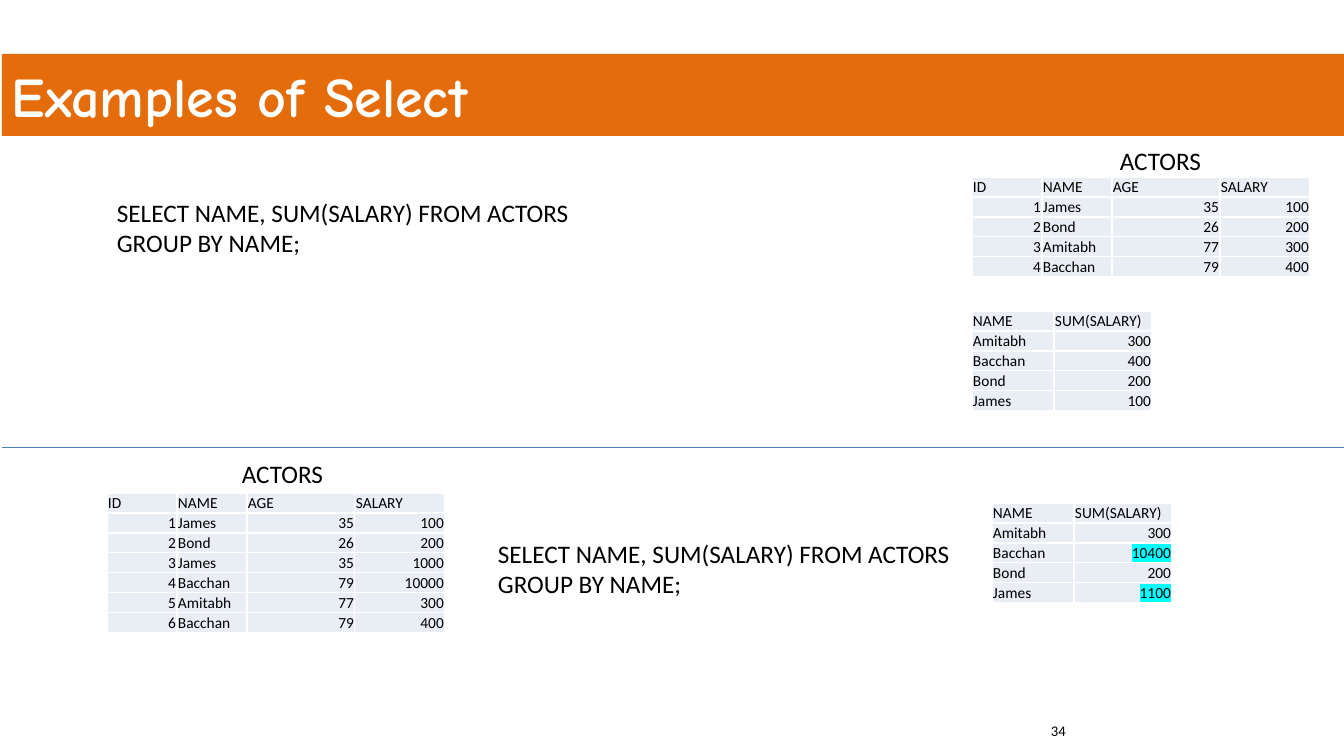
import dataclasses

import lxml.etree
import pptx
import pptx.dml.color
import pptx.enum.shapes
import pptx.enum.text
import pptx.oxml.ns
import pptx.util

EMU_PER_PX = 914400 / 100.8
ROW_HEIGHT = 20
ACTORS_COLUMNS = (70, 70, 108, 90)
SUMS_COLUMNS = (82, 98)
ACTORS_HEADER = ("ID", "NAME", "AGE", "SALARY")
SUMS_HEADER = ("NAME", "SUM(SALARY)")
QUERY = ("SELECT NAME, SUM(SALARY) FROM ACTORS", "GROUP BY NAME;")


@dataclasses.dataclass(frozen=True)
class Theme:
    """Colours, fonts and type sizes of the slide."""
    banner: str = "E46C0A"
    white: str = "FFFFFF"
    ink: str = "000000"
    cell: str = "E9EDF4"
    highlight: str = "00FFFF"
    divider: str = "4B7EBC"
    title_font: str = "Comic Neue"
    body_font: str = "Calibri"
    title_size: float = 40
    body_size: float = 18
    cell_size: float = 11
    number_size: float = 10.5


THEME = Theme()


def px(length):
    """Turn px into EMU."""
    return pptx.util.Emu(round(length * EMU_PER_PX))


def rgb(colour):
    """Turn a hex string into a colour."""
    return pptx.dml.color.RGBColor.from_string(colour)


def apply_format(target, values):
    """Set each named attribute on the target."""
    for name, value in values.items():
        setattr(target, name, value)


def write(paragraph, text, size, font=THEME.body_font, colour=THEME.ink, bold=False):
    """Put one formatted run into a paragraph and return the run."""
    run = paragraph.add_run()
    run.text = text
    run.font.color.rgb = rgb(colour)
    apply_format(run.font, {"size": pptx.util.Pt(size), "name": font, "bold": bold})
    return run


def add_lines(slide, box, lines, size):
    """Place a text box with one paragraph for each line."""
    frame = slide.shapes.add_textbox(*map(px, box)).text_frame
    frame.word_wrap = True
    for index, line in enumerate(lines):
        paragraph = frame.add_paragraph() if index else frame.paragraphs[0]
        write(paragraph, line, size)


def add_banner(slide, box, title):
    """Place the title on its coloured band."""
    banner = slide.shapes.add_shape(pptx.enum.shapes.MSO_SHAPE.RECTANGLE, *map(px, box))
    banner.shadow.inherit = False
    banner.fill.solid()
    banner.fill.fore_color.rgb = rgb(THEME.banner)
    banner.line.fill.background()
    banner.text_frame.vertical_anchor = pptx.enum.text.MSO_ANCHOR.MIDDLE
    heading = banner.text_frame.paragraphs[0]
    heading.alignment = pptx.enum.text.PP_ALIGN.LEFT
    write(heading, title, THEME.title_size, THEME.title_font, THEME.white, True)


def add_borders(cell):
    """Draw thin white borders on all sides of a cell."""
    properties = cell._tc.get_or_add_tcPr()
    for index, side in enumerate(("a:lnL", "a:lnR", "a:lnT", "a:lnB")):
        border = lxml.etree.Element(pptx.oxml.ns.qn(side), w="12700")
        fill = lxml.etree.SubElement(border, pptx.oxml.ns.qn("a:solidFill"))
        lxml.etree.SubElement(fill, pptx.oxml.ns.qn("a:srgbClr"), val=THEME.white)
        properties.insert(index, border)


def highlight_run(run):
    """Mark a run with the highlight colour."""
    mark = lxml.etree.Element(pptx.oxml.ns.qn("a:highlight"))
    lxml.etree.SubElement(mark, pptx.oxml.ns.qn("a:srgbClr"), val=THEME.highlight)
    run._r.rPr.find(pptx.oxml.ns.qn("a:latin")).addprevious(mark)


def fill_cell(cell, value, marked):
    """Format a cell, with numbers set to the right."""
    cell.fill.solid()
    cell.fill.fore_color.rgb = rgb(THEME.cell)
    apply_format(cell, {
        "margin_left": px(1), "margin_right": px(1), "margin_top": px(1),
        "margin_bottom": 0, "vertical_anchor": pptx.enum.text.MSO_ANCHOR.BOTTOM,
    })
    add_borders(cell)
    entry = cell.text_frame.paragraphs[0]
    if isinstance(value, int):
        entry.alignment = pptx.enum.text.PP_ALIGN.RIGHT
    run = write(entry, str(value), THEME.cell_size)
    if marked:
        highlight_run(run)


def add_records(slide, corner, widths, records, marked=()):
    """Place a table at its top left corner."""
    size = (sum(widths), ROW_HEIGHT * len(records))
    table = slide.shapes.add_table(
        len(records), len(widths), *map(px, (*corner, *size))).table
    apply_format(table, {"first_row": False, "horz_banding": False})
    for column, width in zip(table.columns, widths):
        column.width = px(width)
    for row, record in zip(table.rows, records):
        row.height = px(ROW_HEIGHT)
        for cell, value in zip(row.cells, record):
            fill_cell(cell, value, value in marked)


def add_actors(slide, corner, label_shift, actors):
    """Place the actors table with its name above it."""
    left, top = corner
    across, up = label_shift
    records = [ACTORS_HEADER] + [(number, *actor) for number, actor in enumerate(actors, 1)]
    add_records(slide, corner, ACTORS_COLUMNS, records)
    add_lines(slide, (left + across, top - up, 102, 40), ["ACTORS"], THEME.body_size)


def add_sums(slide, corner, sums, marked=()):
    """Place the result table of the query."""
    add_records(slide, corner, SUMS_COLUMNS, [SUMS_HEADER, *sums], marked)


def add_query(slide, corner):
    """Place the query text."""
    add_lines(slide, (*corner, 477, 223), QUERY, THEME.body_size)


def add_divider(slide, left, right, height):
    """Draw the line between both examples."""
    divider = slide.shapes.add_connector(
        pptx.enum.shapes.MSO_CONNECTOR.STRAIGHT, *map(px, (left, height, right, height)))
    divider.line.color.rgb = rgb(THEME.divider)
    divider.line.width = pptx.util.Pt(0.75)
    lxml.etree.SubElement(divider._element.spPr, pptx.oxml.ns.qn("a:effectLst"))


def main():
    """Build and save the slide."""
    deck = pptx.Presentation()
    apply_format(deck, {"slide_width": px(1344), "slide_height": px(756)})
    slide = deck.slides.add_slide(deck.slide_layouts[6])
    add_banner(slide, (2, 54, 1342, 82), "Examples of Select")
    add_lines(slide, (1041, 717, 302, 39), ["34"], THEME.number_size)

    add_actors(slide, (972, 177), (138, 37), [
        ("James", 35, 100), ("Bond", 26, 200), ("Amitabh", 77, 300), ("Bacchan", 79, 400)])
    add_query(slide, (107, 192))
    add_sums(slide, (972, 311), [
        ("Amitabh", 300), ("Bacchan", 400), ("Bond", 200), ("James", 100)])

    add_actors(slide, (107, 493), (125, 40), [
        ("James", 35, 100), ("Bond", 26, 200), ("James", 35, 1000),
        ("Bacchan", 79, 10000), ("Amitabh", 77, 300), ("Bacchan", 79, 400)])
    add_query(slide, (488, 533))
    add_sums(slide, (992, 503), [
        ("Amitabh", 300), ("Bacchan", 10400), ("Bond", 200), ("James", 1100)],
        marked=(10400, 1100))
    add_divider(slide, 2, 1344, 448)
    deck.save("out.pptx")


if __name__ == "__main__":
    main()
